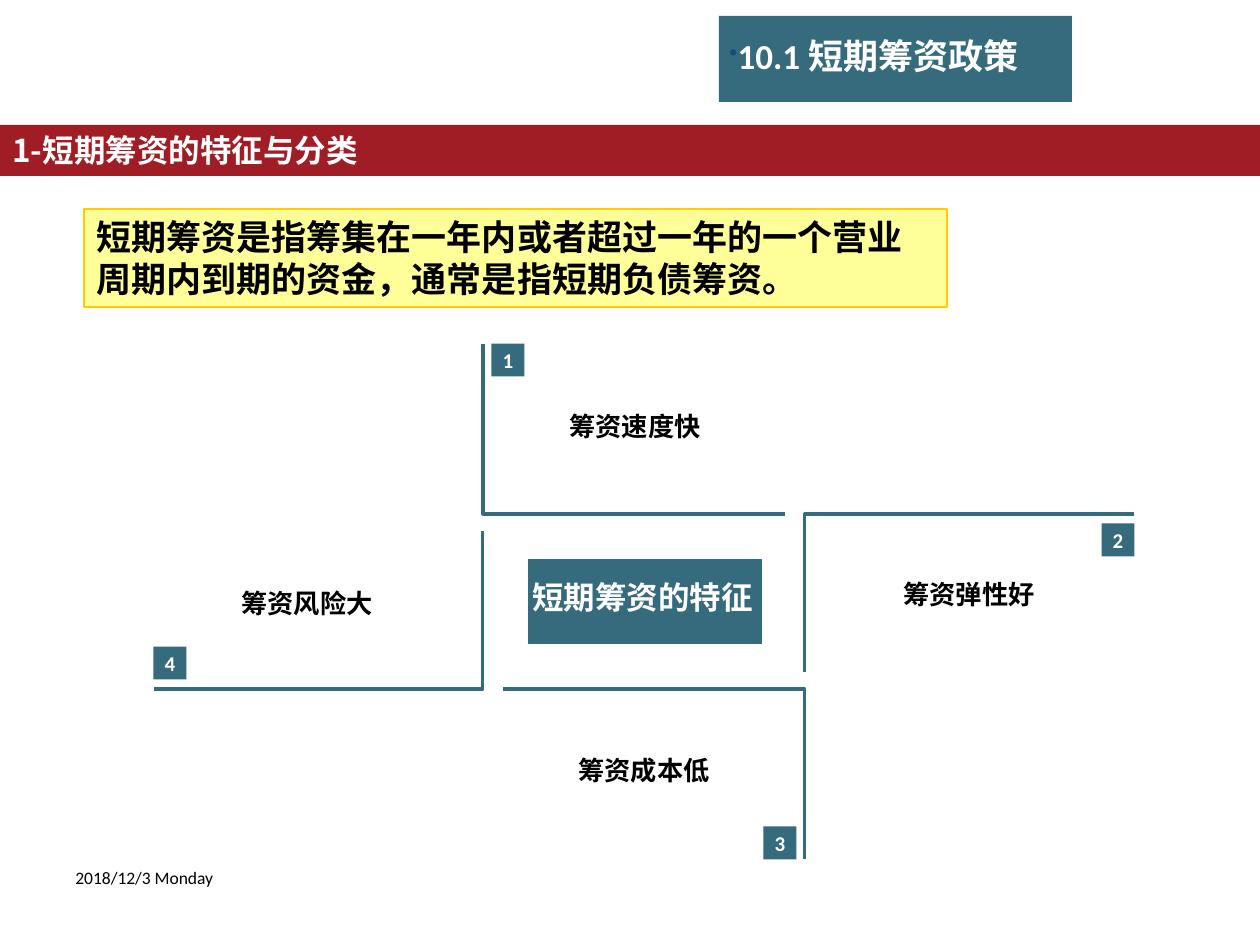
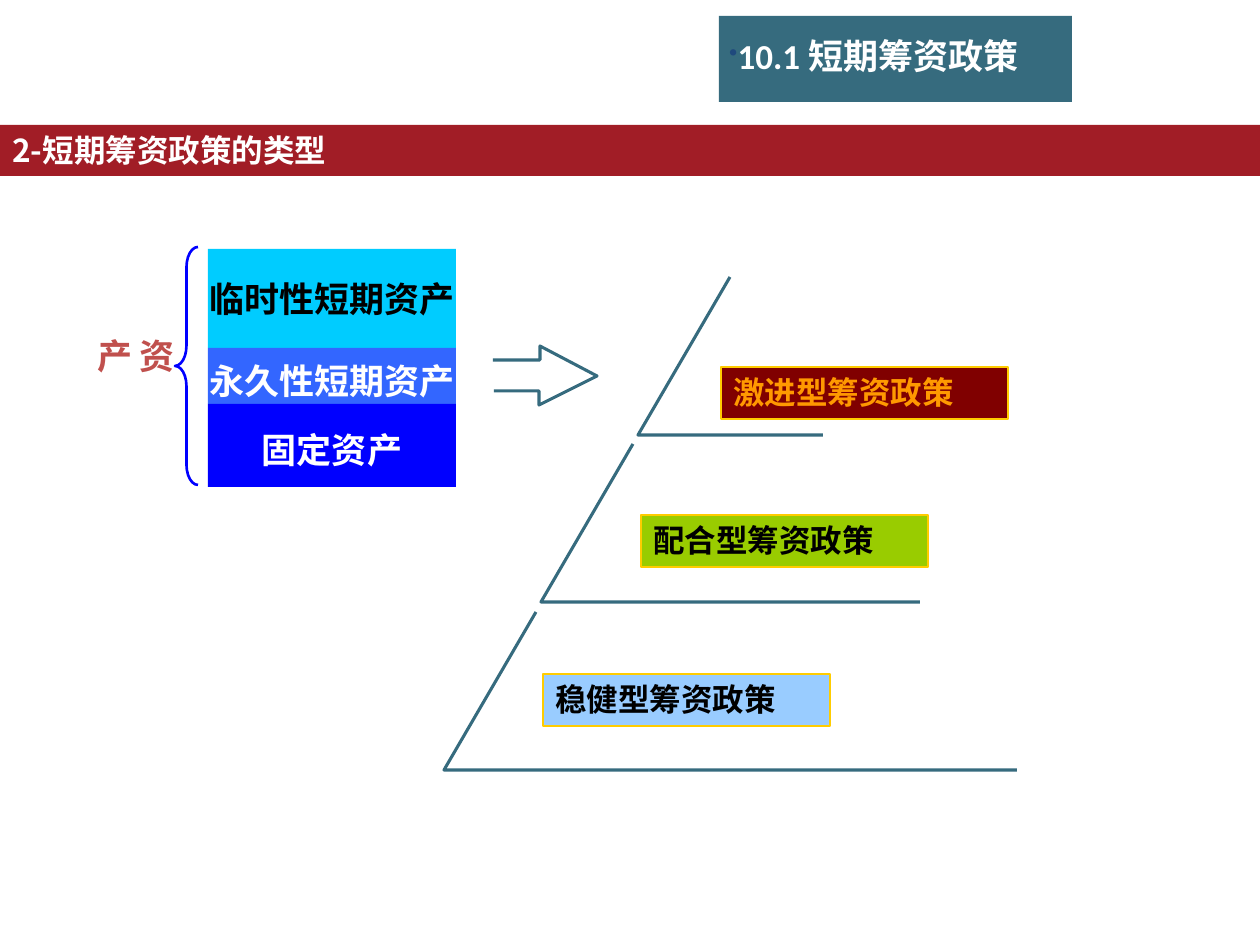
from dataclasses import dataclass
from itertools import accumulate

from lxml.etree import SubElement
from pptx import Presentation
from pptx.dml.color import RGBColor
from pptx.enum.shapes import MSO_SHAPE as Preset
from pptx.enum.text import MSO_ANCHOR as Anchor, PP_ALIGN as Align
from pptx.oxml.ns import qn
from pptx.util import Pt

SCALE = 914400 / 126  # EMU per pixel


@dataclass(frozen=True)
class Theme:
    """Colours, fonts and type sizes shared by the slides."""
    teal: str = "366B7E"
    red: str = "A11D26"
    white: str = "FFFFFF"
    black: str = "000000"
    navy: str = "1F497D"
    rose: str = "C0504D"
    blue: str = "0000FF"
    royal: str = "3366FF"
    cyan: str = "00CCFF"
    gold: str = "FFCC00"
    cream: str = "FFFF99"
    sky: str = "99CCFF"
    lime: str = "99CC00"
    maroon: str = "800000"
    orange: str = "FF9900"
    sans: str = "Calibri"
    cjk: str = "Noto Sans CJK SC"
    serif: str = "Times New Roman"
    title: int = 20
    heading: int = 18
    label: int = 15
    badge: int = 12
    date: int = 10
    stroke: float = 1.75


THEME = Theme()


def emu(*pixels):
    """Turn pixels into whole EMU."""
    return [round(value * SCALE) for value in pixels]


def paint(shape, fill=None, line=None, width=0.75):
    """Set fill and line of a shape and take its shadow away."""
    shape.shadow.inherit = False
    if fill:
        shape.fill.solid()
        shape.fill.fore_color.rgb = RGBColor.from_string(fill)
    else:
        shape.fill.background()
    if line:
        shape.line.color.rgb = RGBColor.from_string(line)
        shape.line.width = Pt(width)
    else:
        shape.line.fill.background()
    return shape


def add_block(page, box, fill=None, line=None, width=0.75, preset=Preset.RECTANGLE):
    """Draw a preset shape in the box."""
    return paint(page.shapes.add_shape(preset, *emu(*box)), fill, line, width)


def write(shape, text, size, color, font=THEME.sans, bold=True, align=Align.LEFT,
          anchor=Anchor.TOP, wrap=True, inset=True):
    """Put one styled paragraph into a shape and return the paragraph."""
    frame = shape.text_frame
    frame.word_wrap = wrap
    frame.vertical_anchor = anchor
    if not inset:
        frame.margin_left = frame.margin_top = frame.margin_right = frame.margin_bottom = 0
    para = frame.paragraphs[0]
    para.text = text
    para.alignment = align
    para.font.size, para.font.bold, para.font.name = Pt(size), bold, font
    para.font.color.rgb = RGBColor.from_string(color)
    return para


def add_text(page, box, text, size, color, **style):
    """Add a text box."""
    return write(page.shapes.add_textbox(*emu(*box)), text, size, color, **style)


def add_outline(page, points):
    """Draw an open teal line through the points."""
    builder = page.shapes.build_freeform(*points[0], scale=SCALE)
    builder.add_line_segments(points[1:], close=False)
    return paint(builder.convert_to_shape(), line=THEME.teal, width=THEME.stroke)


def add_header(page, heading):
    """Draw the chapter plate and the heading band."""
    left, top, width, height = 719, 16, 353, 86
    add_block(page, (left, top, width, height), THEME.teal)
    para = add_text(page, (left + 10, top + 18, width - 6, 43), "10.1 短期筹资政策",
                    THEME.title, THEME.white, anchor=Anchor.MIDDLE, inset=False)
    props = para._p.get_or_add_pPr()
    bullet = [SubElement(props, qn(f"a:{tag}")) for tag in ("buClr", "buSzPct", "buChar")]
    SubElement(bullet[0], qn("a:srgbClr")).set("val", THEME.navy)
    bullet[1].set("val", "70000")
    bullet[2].set("char", "•")
    props.append(props.find(qn("a:defRPr")))  # the schema wants it after the bullet
    band = add_block(page, (0, 125, 1260, 51), THEME.red)
    write(band, heading, THEME.heading, THEME.white, font=THEME.cjk)


def add_pinwheel(page, box):
    """Draw four numbered brackets turning around a centre plate."""
    left, top, width, height = box
    right, bottom = left + width, top + height
    inner_x, inner_y, badge = left + 329, top + 170, 33

    def turn(points):
        """Turn points half way round the centre of the box."""
        return [(left + right - x, top + bottom - y) for x, y in points]

    upper = [(inner_x, top), (inner_x, inner_y), (inner_x + 302, inner_y)]
    side = [(right, inner_y), (right - 329, inner_y), (right - 329, inner_y + 158)]
    for points in (upper, side, turn(upper), turn(side)):
        add_outline(page, points)

    centers = [(inner_x + 25, top + 16), (right - 16, top + 196)]
    centers += turn(centers)
    labels = [("筹资速度快", 481, 82), ("筹资弹性好", 815, 250),
              ("筹资成本低", 490, 426), ("筹资风险大", 153, 259)]
    for number, ((x, y), (label, dx, dy)) in enumerate(zip(centers, labels), 1):
        plate = add_block(page, (x - badge / 2, y - badge / 2, badge, badge), THEME.teal)
        write(plate, str(number), THEME.badge, THEME.white, align=Align.CENTER,
              anchor=Anchor.MIDDLE, wrap=False, inset=False)
        add_text(page, (left + dx - 75, top + dy - 16, 150, 32), label, THEME.label,
                 THEME.black, align=Align.CENTER, anchor=Anchor.MIDDLE, inset=False)

    add_block(page, (left + 374, top + 215, 233, 84), THEME.teal, THEME.teal, 0.5)
    add_text(page, (left + 366, top + 228, 248, 50), "短期筹资的特征",
             THEME.heading, THEME.white)


def add_assets(page, box):
    """Stack the asset kinds beside a brace with an upright caption."""
    left, top, width, height = box
    bars = [("临时性短期资产", 99, THEME.cyan, THEME.black, 1.0),
            ("永久性短期资产", 56, THEME.royal, THEME.white, 1.2),
            ("固定资产", 83, THEME.blue, THEME.white, 1.2)]
    tops = accumulate((bar[1] for bar in bars), initial=top)
    for (text, tall, fill, color, spacing), y in zip(bars, tops):
        bar = add_block(page, (left, y, width, tall), fill)
        para = write(bar, text, THEME.title, color, font=THEME.serif, align=Align.CENTER,
                     anchor=Anchor.MIDDLE, wrap=False)
        para.line_spacing = spacing
    brace = add_block(page, (left - 33, top - 2, 23, height), line=THEME.blue, width=1.5,
                      preset=Preset.LEFT_BRACE)
    brace.adjustments[0] = 0.88
    caption = page.shapes.add_textbox(*emu(left - 92, top + 77, 67, 91))
    write(caption, "资产", THEME.title, THEME.rose, font=THEME.serif)
    caption.text_frame._txBody.bodyPr.set("vert", "eaVert")


def add_arrow(page, box):
    """Draw a block arrow that is open at its tail."""
    left, top, width, height = box
    neck, right, bottom = left + 47, left + width, top + height
    add_outline(page, [(left, top + 14), (neck, top + 14), (neck, top),
                       (right, top + height / 2), (neck - 1, bottom),
                       (neck - 1, bottom - 14), (left + 1, bottom - 14)])


def add_policies(page, box):
    """Draw the widening tiers, then a policy label on each."""
    left, top, width, height = box
    tiers = 3
    rise = 158
    step_y = (height - rise) / (tiers - 1)
    step_x = 97
    for tier in range(tiers):
        inset = step_x * (tiers - 1 - tier)
        x, y = left + inset, top + rise + step_y * tier
        add_outline(page, [(x + 92, y - rise), (x, y), (left + width - inset, y)])
    policies = [("激进型筹资政策", 277, 90, THEME.maroon, THEME.orange),
                ("配合型筹资政策", 197, 238, THEME.lime, THEME.black),
                ("稳健型筹资政策", 99, 397, THEME.sky, THEME.black)]
    for text, dx, dy, fill, color in policies:
        plate = add_block(page, (left + dx, top + dy, 287, 52), fill, THEME.gold)
        write(plate, text, THEME.heading, color)


def build_features(page):
    """Slide on the features of short-term financing."""
    add_text(page, (63, 861, 294, 63), "2018/12/3 Monday", THEME.date, THEME.black, bold=False)
    add_header(page, "1-短期筹资的特征与分类")
    definition = add_block(page, (84, 209, 863, 98), THEME.cream, THEME.gold)
    write(definition, "短期筹资是指筹集在一年内或者超过一年的一个营业周期内到期的资金，"
          "通常是指短期负债筹资。", THEME.title, THEME.black, anchor=Anchor.MIDDLE)
    add_pinwheel(page, (154, 344, 980, 515))


def build_types(page):
    """Slide on the types of short-term financing policy."""
    add_header(page, "2-短期筹资政策的类型")
    add_assets(page, (208, 249, 248, 238))
    add_arrow(page, (493, 346, 104, 59))
    add_policies(page, (444, 277, 573, 493))


deck = Presentation()
deck.slide_width, deck.slide_height = emu(1260, 945)
for build in (build_features, build_types):
    build(deck.slides.add_slide(deck.slide_layouts[6]))
deck.save("out.pptx")
